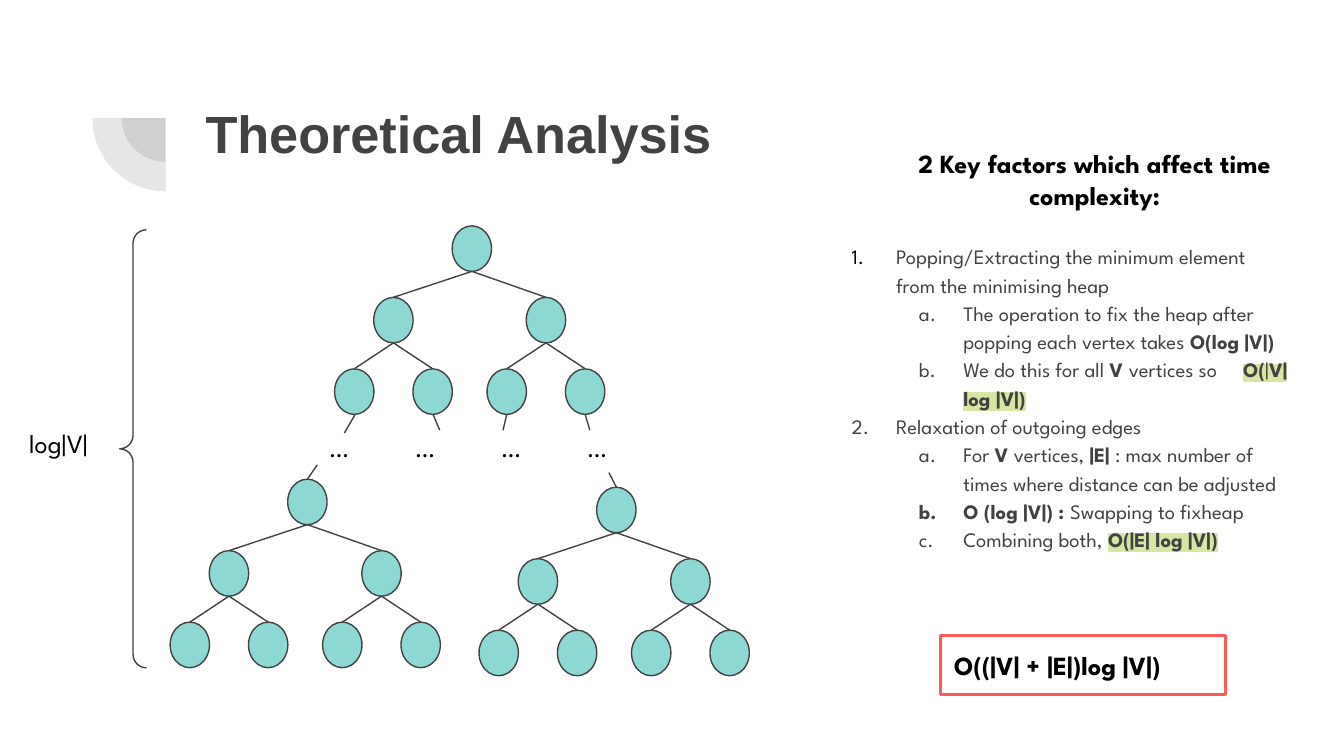
from dataclasses import dataclass
from lxml.etree import SubElement
from pptx import Presentation
from pptx.dml.color import RGBColor
from pptx.enum.shapes import MSO_CONNECTOR, MSO_SHAPE
from pptx.enum.text import MSO_ANCHOR, PP_ALIGN
from pptx.oxml.ns import qn
from pptx.util import Pt


@dataclass(frozen=True)
class Theme:
    ink: str = "424242"
    black: str = "000000"
    node: str = "8DD8D3"
    mark: str = "D7E6A3"
    frame: str = "FD5B58"
    head: str = "Arial"
    body: str = "League Spartan"
    big: float = 28
    mid: float = 14
    small: float = 11
    thin: float = 0.75
    thick: float = 1.5
    fade: int = 13000


T = Theme()

TITLE = "Theoretical Analysis"
LEAD = "2 Key factors which affect time complexity:"
DEPTH = "log|V|"
TOTAL = "O((|V| + |E|)log |V|)"
DOTS = "…"

# style letters: b bold, h highlight, g wide gap
ITEMS = [
    (0, T.black, [("Popping/Extracting the minimum element from the minimising heap", "")]),
    (1, T.ink, [("The operation to fix the heap after popping each vertex takes ", ""),
                ("O(log |V|)", "b")]),
    (1, T.ink, [("We do this for all ", ""), ("V ", "b"), ("vertices so", ""), (" ", "g"),
                ("O(", "bh"), ("|", "h"), ("V| log |V|)", "bh")]),
    (0, T.ink, [("Relaxation of outgoing edges", "")]),
    (1, T.ink, [("For ", ""), ("V ", "b"), ("vertices, ", ""), ("|E| ", "b"),
                (": max number of times where distance can be adjusted", "")]),
    (1, T.ink, [("O (log |V|) : ", "b"), ("Swapping to fixheap", "")]),
    (1, T.ink, [("Combining both, ", ""), ("O(|E| log |V|)", "bh")]),
]

ROOTS = [(252.8, 121), (164.7, 256.7), (330.2, 261)]
FORKS = [(-42, 39.7), (-21, 21)]
WIDE, TALL, STEP = 21.1, 24.4, 38.3
STUBS = [
    ((190.3, 222), (184.5, 232)),
    ((232, 222), (235.6, 230.5)),
    ((271.5, 222), (269.5, 230.5)),
    ((313.5, 222), (316, 230.5)),
    ((164.7, 256.7), (170, 249)),
    ((330.2, 261), (326.2, 253.2)),
]

deck = Presentation()
deck.slide_width, deck.slide_height = Pt(720), Pt(405)
slide = deck.slides.add_slide(deck.slide_layouts[6])
shapes = slide.shapes


def tint(hue):
    return RGBColor.from_string(hue)


def draw(kind, box, fill=None, line=None, weight=T.thin):
    shape = shapes.add_shape(kind, *map(Pt, box))
    shape.shadow.inherit = False
    if fill:
        shape.fill.solid()
        shape.fill.fore_color.rgb = tint(fill)
    else:
        shape.fill.background()
    if line:
        shape.line.color.rgb = tint(line)
        shape.line.width = Pt(weight)
    else:
        shape.line.fill.background()
    return shape


def link(start, end):
    line = shapes.add_connector(MSO_CONNECTOR.STRAIGHT, *map(Pt, start + end))
    line.line.color.rgb = tint(T.ink)
    line.line.width = Pt(T.thin)
    SubElement(line._element.spPr, qn("a:effectLst"))


def pad(frame):
    frame.word_wrap = True
    frame.margin_left = frame.margin_right = Pt(7.2)
    frame.margin_top = frame.margin_bottom = Pt(7.2)
    return frame


def text_box(box):
    return pad(shapes.add_textbox(*map(Pt, box)).text_frame)


def add_run(para, text, size=T.mid, hue=T.black, face=T.body, bold=False):
    run = para.add_run()
    run.text = text
    font = run.font
    font.size, font.name, font.bold = Pt(size), face, bold
    font.color.rgb = tint(hue)
    return run


def label(box, text, align=PP_ALIGN.LEFT, **style):
    para = text_box(box).paragraphs[0]
    para.alignment = align
    add_run(para, text, **style)


def add_item(para, level, hue, parts):
    para.level = level
    para.line_spacing = 1.15
    props = para._p.get_or_add_pPr()
    props.set("marL", str(Pt(36 * (level + 1))))
    props.set("indent", str(-Pt(23.75)))
    color = SubElement(props, qn("a:buClr"))
    SubElement(color, qn("a:srgbClr"), val=hue)
    SubElement(props, qn("a:buSzPts"), val=str(int(T.small * 100)))
    SubElement(props, qn("a:buFont"), typeface=T.body)
    kind = ("arabicPeriod", "alphaLcPeriod")[level]
    SubElement(props, qn("a:buAutoNum"), type=kind)
    for text, style in parts:
        run = add_run(para, text, T.small, T.ink, bold="b" in style)
        font = run._r.get_or_add_rPr()
        if "g" in style:
            font.set("spc", "1100")
        if "h" in style:
            mark = SubElement(font, qn("a:highlight"))
            SubElement(mark, qn("a:srgbClr"), val=T.mark)
            font.find(qn("a:latin")).addprevious(mark)


def grow(x, y, depth=0):
    draw(MSO_SHAPE.OVAL, (x - WIDE / 2, y, WIDE, TALL), T.node, T.ink)
    if depth < len(FORKS):
        for shift in FORKS[depth]:
            link((x, y + TALL), (x + shift, y + STEP))
            grow(x + shift, y + STEP, depth + 1)


for size in (47, 78.6):
    pie = draw(MSO_SHAPE.PIE, (88.7 - size / 2, 63.2 - size / 2, size, size), T.ink)
    pie.adjustments[0], pie.adjustments[1] = 108, 162
    pie.rotation = 270
    color = pie.fill._xPr.find(qn("a:solidFill"))[0]
    SubElement(color, qn("a:alpha"), val=str(T.fade))

label((103, 46.8, 553.7, 78.5), TITLE, size=T.big, hue=T.ink, face=T.head, bold=True)

for root in ROOTS:
    grow(*root)
for start, end in STUBS:
    link(start, end)
for col in range(4):
    label((169.2 + 46.1 * col, 224, 28.1, 31.7), DOTS)

label((475.2, 72, 222.5, 48.2), LEAD, PP_ALIGN.CENTER, bold=True)

frame = text_box((437, 121.7, 261.4, 247))
for rank, item in enumerate(ITEMS):
    add_item(frame.add_paragraph() if rank else frame.paragraphs[0], *item)

brace = draw(MSO_SHAPE.LEFT_BRACE, (64.1, 123.1, 14.4, 234.7), line=T.ink)
brace.adjustments[0] = brace.adjustments[1] = 0.5
label((8.6, 221.8, 69.8, 31.7), DEPTH)

result = draw(MSO_SHAPE.RECTANGLE, (504, 340.6, 152.6, 31.7), line=T.frame, weight=T.thick)
frame = pad(result.text_frame)
frame.vertical_anchor = MSO_ANCHOR.MIDDLE
frame.paragraphs[0].alignment = PP_ALIGN.LEFT
add_run(frame.paragraphs[0], TOTAL, bold=True)

deck.save("out.pptx")
